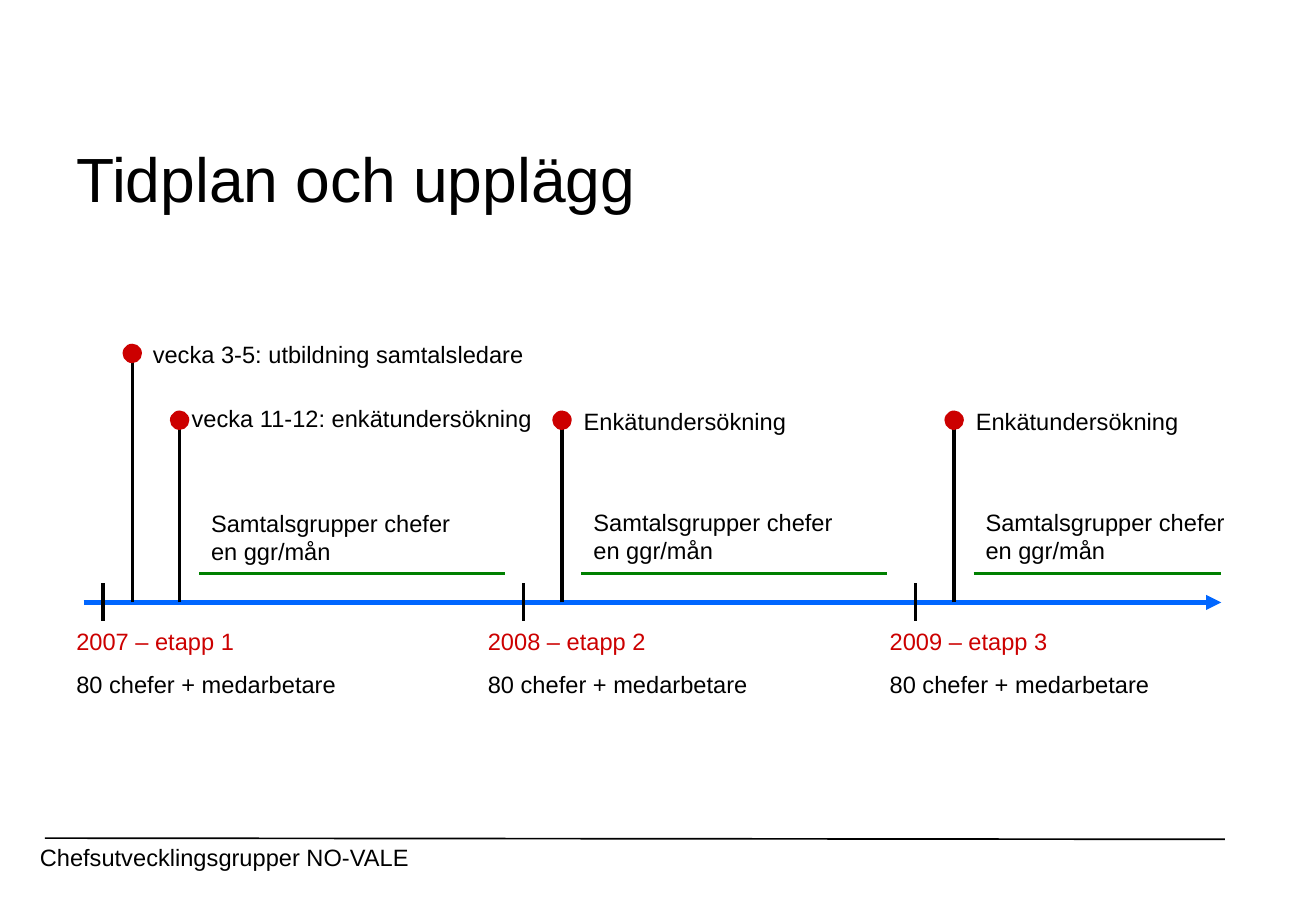
from lxml import etree
from pptx import Presentation, util as u
from pptx.dml.color import RGBColor
from pptx.enum import shapes, text
from pptx.oxml.ns import qn

COLORS = {"ink": "000000", "accent": "CC0000", "axis": "0066FF", "group": "008000"}
FONT = "Arial"
AXIS_Y = 4.96
DOT_SIZE = 0.16
STAGES = [
    {"title": "2007 – etapp 1", "tick": 0.85, "label": 0.53, "group": 1.64,
     "group_end": 4.16, "group_top": 4.14},
    {"title": "2008 – etapp 2", "tick": 4.31, "label": 3.92, "group": 4.79,
     "group_end": 7.31, "group_top": 4.13},
    {"title": "2009 – etapp 3", "tick": 7.54, "label": 7.23, "group": 8.02,
     "group_end": 10.06, "group_top": 4.13},
]
MILESTONES = [
    ("vecka 3-5: utbildning samtalsledare", 1.09, 2.91, 1.16, 2.75, 4.25),
    ("vecka 11-12: enkätundersökning", 1.48, 3.46, 1.48, 3.28, 3.7),
    ("Enkätundersökning", 4.63, 3.46, 4.71, 3.3, 3.7),
    ("Enkätundersökning", 7.86, 3.46, 7.94, 3.3, 3.7),
]


def color(name):
    """Return the named colour."""
    return RGBColor.from_string(COLORS[name])


def style_font(paragraph, size, color_name):
    """Set the font of a whole paragraph."""
    paragraph.font.name = FONT
    paragraph.font.size = u.Pt(size)
    paragraph.font.color.rgb = color(color_name)


def add_line(slide, start, end, color_name="ink", width=0, arrow=False):
    """Draw a straight line, with an arrowhead at its end if asked."""
    line = slide.shapes.add_connector(
        shapes.MSO_CONNECTOR.STRAIGHT, *map(u.Inches, start + end))
    line.line.color.rgb = color(color_name)
    line.line.width = u.Pt(width)
    if arrow:
        etree.SubElement(line.line._get_or_add_ln(), qn("a:tailEnd"), type="triangle")
    etree.SubElement(line._element.spPr, qn("a:effectLst"))


def add_text(slide, left, top, width, height, *paragraphs):
    """Add a text box of (wording, colour) paragraphs."""
    box = slide.shapes.add_textbox(*map(u.Inches, (left, top, width, height)))
    frame = box.text_frame
    frame.word_wrap = True
    for index, (wording, color_name) in enumerate(paragraphs):
        paragraph = frame.add_paragraph() if index else frame.paragraphs[0]
        paragraph.text = wording
        paragraph.space_before = u.Pt(8.8 if index else 0)
        style_font(paragraph, 14, color_name)


def add_title(slide, wording):
    """Place and format the title."""
    title = slide.shapes.title
    title.left, title.top = u.Inches(0.53), u.Inches(0.57)
    title.width, title.height = u.Inches(9.48), u.Inches(1.25)
    frame = title.text_frame
    frame.text = wording
    frame.vertical_anchor = text.MSO_ANCHOR.BOTTOM
    frame.auto_size = text.MSO_AUTO_SIZE.NONE
    paragraph = frame.paragraphs[0]
    paragraph.alignment = text.PP_ALIGN.LEFT
    style_font(paragraph, 37, "ink")


def add_stage(slide, stage):
    """Add a year's tick, caption and discussion group period."""
    tick, group = stage["tick"], stage["group"]
    add_line(slide, (tick, 4.8), (tick, 5.11))
    add_line(slide, (group, 4.72), (stage["group_end"], 4.72), "group")
    add_text(slide, group, stage["group_top"], 2.2, 0.57,
             ("Samtalsgrupper chefer en ggr/mån", "ink"))
    add_text(slide, stage["label"], 5.11, 2.52, 0.69,
             (stage["title"], "accent"), ("80 chefer + medarbetare", "ink"))


def add_milestone(slide, wording, x, y, left, top, width):
    """Add a stem, its dot and its label."""
    add_line(slide, (x, AXIS_Y), (x, y))
    dot = slide.shapes.add_shape(
        shapes.MSO_SHAPE.OVAL, u.Inches(x - DOT_SIZE / 2), u.Inches(y - DOT_SIZE / 2),
        u.Inches(DOT_SIZE), u.Inches(DOT_SIZE))
    dot.shadow.inherit = False
    dot.fill.solid()
    dot.fill.fore_color.rgb = color("accent")
    dot.line.fill.background()
    add_text(slide, left, top, width, 0.34, (wording, "ink"))


def main():
    """Build the timeline slide."""
    presentation = Presentation()
    presentation.slide_width = u.Inches(10.84)
    presentation.slide_height = u.Inches(7.5)
    slide = presentation.slides.add_slide(presentation.slide_layouts[5])
    add_title(slide, "Tidplan och upplägg")
    add_line(slide, (0.37, 6.9), (10.09, 6.91), width=1)
    add_line(slide, (0.69, AXIS_Y), (10.06, AXIS_Y), "axis", 3, arrow=True)
    for stage in STAGES:
        add_stage(slide, stage)
    for milestone in MILESTONES:
        add_milestone(slide, *milestone)
    add_text(slide, 0.23, 6.89, 9.2, 0.5, ("Chefsutvecklingsgrupper NO-VALE", "ink"))
    presentation.save("out.pptx")


if __name__ == "__main__":
    main()
